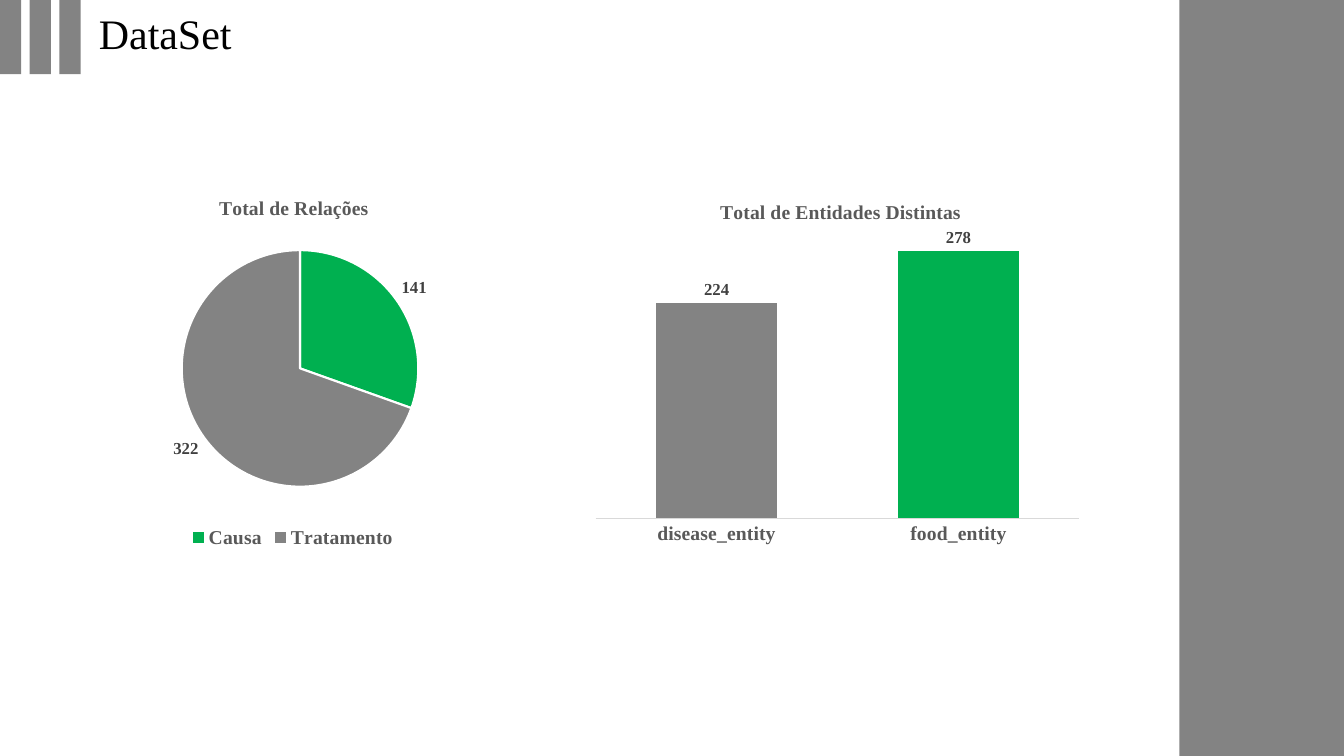
"""Build the DataSet slide with a relation pie and an entity column chart."""
import pptx
import pptx.chart.data
import pptx.dml.color
import pptx.enum.chart
import pptx.enum.shapes
import pptx.enum.text
import pptx.oxml
import pptx.oxml.ns
import pptx.util

Pt = pptx.util.Pt
Kind = pptx.enum.chart.XL_CHART_TYPE
GREY, GREEN, WHITE = "838383", "00B050", "FFFFFF"
TEXT, LABEL, RULE = "595959", "404040", "D9D9D9"


def color(code):
    return pptx.dml.color.RGBColor.from_string(code)


def apply(item, values):
    for name, value in values.items():
        setattr(item, name, value)


def place(parent, index, frame, inner=False):
    for old in parent.xpath("./c:layout"):
        parent.remove(old)
    target = '<c:layoutTarget val="inner"/>' if inner else ""
    modes = "".join(f'<c:{key}Mode val="edge"/>' for key in "xy")
    sizes = "".join(f'<c:{key} val="{value}"/>' for key, value in zip("xywh", frame))
    parent.insert(index, pptx.oxml.parse_xml(
        f'<c:layout {pptx.oxml.ns.nsdecls("c")}><c:manualLayout>'
        f'{target}{modes}{sizes}</c:manualLayout></c:layout>'))


class Deck:
    def __init__(self, face):
        self.face = face
        self.show = pptx.Presentation()
        apply(self.show, {"slide_width": Pt(960), "slide_height": Pt(540)})
        self.slide = self.show.slides.add_slide(self.show.slide_layouts[5])

    def style(self, font, size, code, bold=True):
        apply(font, {"name": self.face, "size": Pt(size), "bold": bold})
        font.color.rgb = color(code)

    def title(self, text, box):
        shape = self.slide.shapes.title
        apply(shape, dict(zip(("left", "top", "width", "height"), map(Pt, box))))
        frame = shape.text_frame
        frame.text = text
        apply(frame, {"word_wrap": True,
                      "auto_size": pptx.enum.text.MSO_AUTO_SIZE.NONE,
                      "vertical_anchor": pptx.enum.text.MSO_ANCHOR.MIDDLE})
        line = frame.paragraphs[0]
        apply(line, {"alignment": pptx.enum.text.PP_ALIGN.LEFT,
                     "line_spacing": 0.8, "space_after": Pt(6)})
        self.style(line.runs[0].font, 30, "000000", False)

    def block(self, box):
        shape = self.slide.shapes.add_shape(
            pptx.enum.shapes.MSO_SHAPE.RECTANGLE, *map(Pt, box))
        shape.shadow.inherit = False
        shape.fill.solid()
        shape.fill.fore_color.rgb = color(GREY)
        shape.line.fill.background()

    def chart(self, kind, box, head, spot, area, points):
        data = pptx.chart.data.CategoryChartData()
        data.categories = [name for name, _, _ in points]
        data.add_series("Series 1", [value for _, value, _ in points])
        chart = self.slide.shapes.add_chart(kind, *map(Pt, box), data).chart
        self.style(chart.font, 10, "000000", False)
        chart.has_title = True
        chart.chart_title.include_in_layout = False
        frame = chart.chart_title.text_frame
        frame.text = head
        self.style(frame.paragraphs[0].runs[0].font, 14, TEXT)
        place(chart.element.xpath("./c:chart/c:title")[0], 1, spot)
        place(chart.element.xpath(".//c:plotArea")[0], 0, area, True)
        plot = chart.plots[0]
        plot.vary_by_categories = kind == Kind.PIE
        for index, (_, _, code) in enumerate(points):
            fill = plot.series[0].points[index].format.fill
            fill.solid()
            fill.fore_color.rgb = color(code)
        labels = plot.series[0].data_labels
        apply(labels, {"show_value": True,
                       "position": pptx.enum.chart.XL_LABEL_POSITION.OUTSIDE_END})
        self.style(labels.font, 12, LABEL)
        chart.has_legend = False
        return chart

    def pie(self, *parts):
        chart = self.chart(Kind.PIE, *parts)
        for index in range(len(parts[-1])):
            line = chart.plots[0].series[0].points[index].format.line
            line.width = Pt(1.5)
            line.color.rgb = color(WHITE)
        chart.has_legend = True
        apply(chart.legend, {"include_in_layout": False,
                             "position": pptx.enum.chart.XL_LEGEND_POSITION.BOTTOM})
        self.style(chart.legend.font, 14, TEXT)

    def bars(self, *parts):
        chart = self.chart(Kind.COLUMN_CLUSTERED, *parts)
        apply(chart.plots[0], {"gap_width": 100, "overlap": -10})
        apply(chart.value_axis, {"visible": False, "has_major_gridlines": False,
                                 "minimum_scale": 0, "maximum_scale": 300})
        axis = chart.category_axis
        axis.major_tick_mark = pptx.enum.chart.XL_TICK_MARK.NONE
        self.style(axis.tick_labels.font, 14, TEXT)
        axis.format.line.width = Pt(0.75)
        axis.format.line.color.rgb = color(RULE)


def main():
    deck = Deck("Times New Roman")
    deck.block((842.4, 0, 117.6, 540))
    for step in range(3):
        deck.block((step * 21.2, 0, 15.2, 53))
    deck.title("DataSet", (63.4, 7.2, 291.6, 38.9))
    deck.pie((36.7, 123.8, 344.9, 270.7), "Total de Relações", (0.34, 0.05),
             (0.27, 0.19, 0.49, 0.65),
             [("Causa", 141, GREEN), ("Tratamento", 322, GREY)])
    deck.bars((418.3, 126.7, 360, 267.8), "Total de Entidades Distintas",
              (0.26, 0.05), (0.02, 0.14, 0.96, 0.77),
              [("disease_entity", 224, GREY), ("food_entity", 278, GREEN)])
    deck.show.save("out.pptx")


if __name__ == "__main__":
    main()
